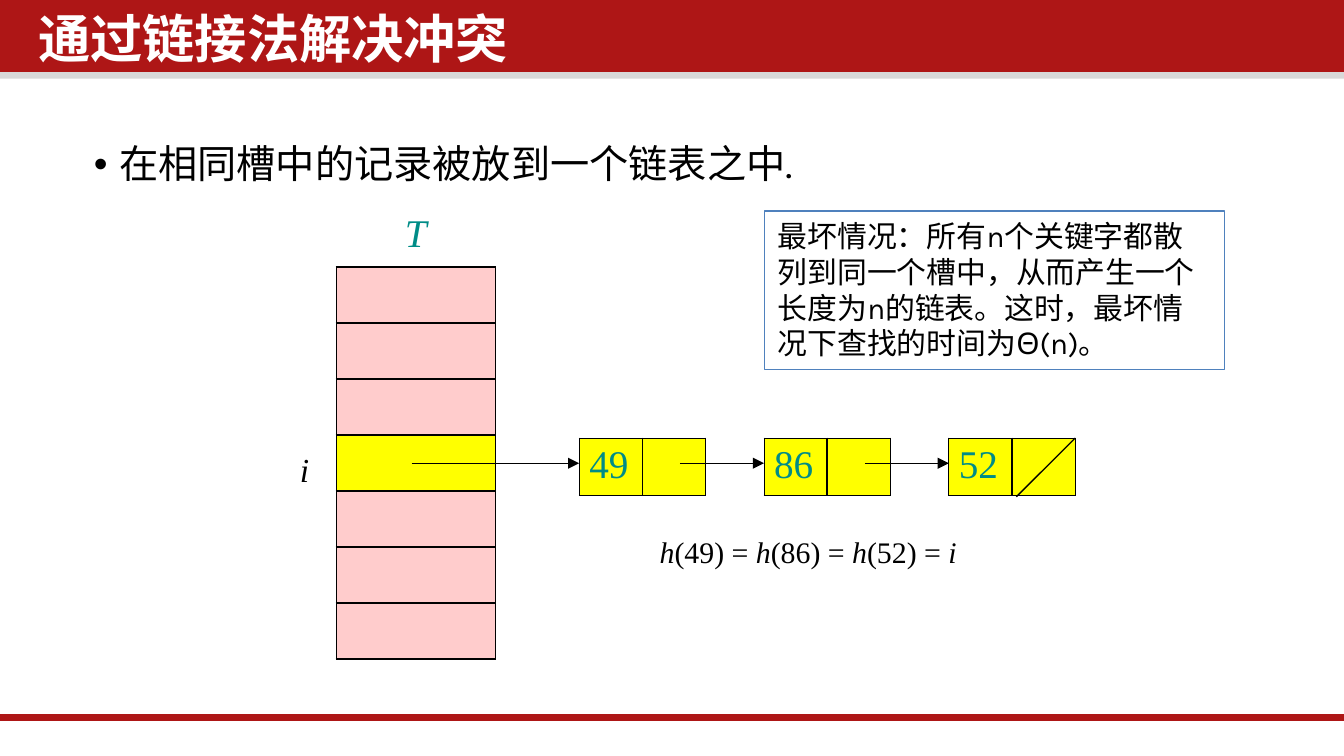
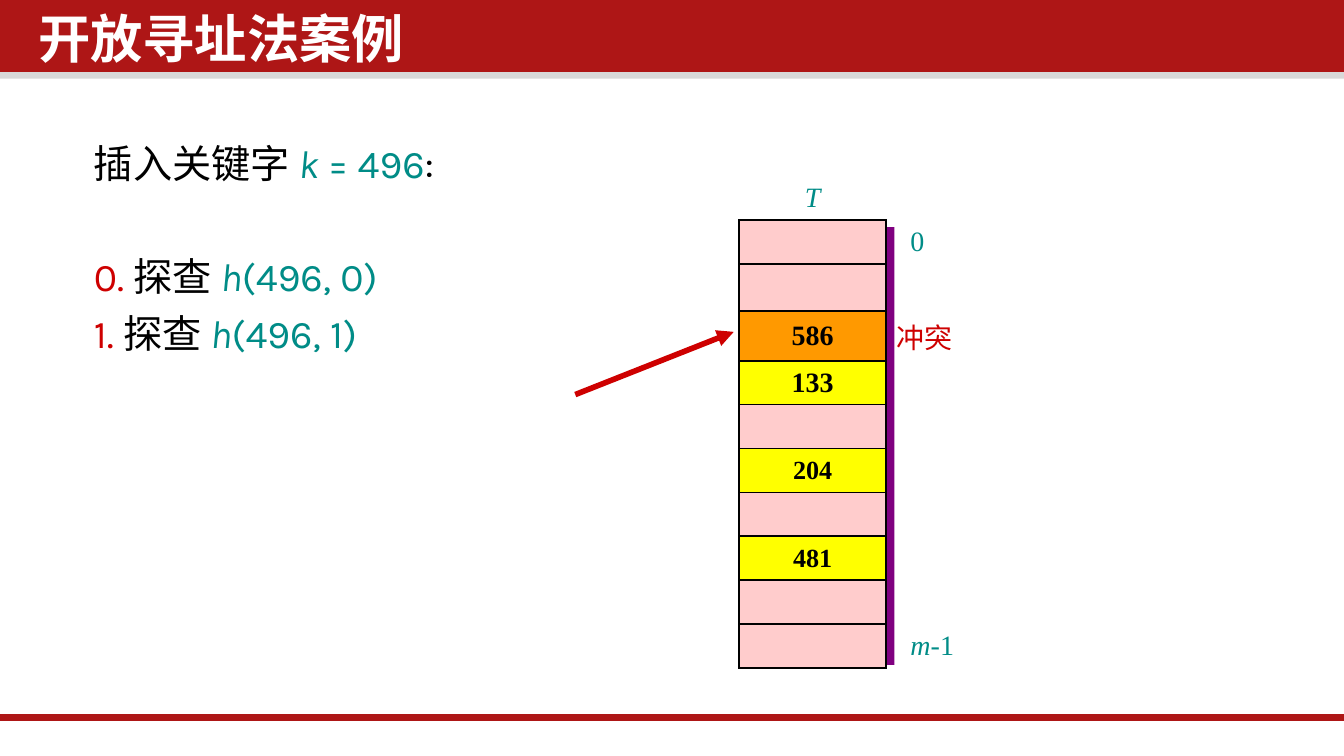
from dataclasses import dataclass, field
from typing import Any, NamedTuple, Optional

from lxml.etree import SubElement
from pptx import Presentation
from pptx.dml.color import RGBColor
from pptx.enum.shapes import MSO_CONNECTOR, MSO_SHAPE
from pptx.enum.text import MSO_ANCHOR, MSO_AUTO_SIZE, PP_ALIGN
from pptx.oxml.ns import qn
from pptx.util import Pt

COLORS = {
    "band": "AE1616", "band_edge": "D9D9D9", "white": "FFFFFF", "black": "000000",
    "teal": "008C87", "red": "CE0000", "pink": "FFCCCC", "yellow": "FFFF00",
    "orange": "FF9900", "purple": "800080", "box_edge": "4F81BD",
}
SANS, SERIF, CJK = "Karla", "Times New Roman", "Noto Sans CJK SC"
WIDTH, HEIGHT = 720, 405

TITLE_FRAME = dict(margin_left=Pt(5.4), margin_right=Pt(5.4), margin_top=Pt(2.7),
                   margin_bottom=Pt(2.7), vertical_anchor=MSO_ANCHOR.TOP,
                   word_wrap=True, auto_size=MSO_AUTO_SIZE.NONE)
CELL_MARGINS = dict(margin_left=Pt(5.4), margin_right=Pt(5.4),
                    margin_top=Pt(2.7), margin_bottom=Pt(2.7))
BODY_FRAME = dict(word_wrap=True, vertical_anchor=MSO_ANCHOR.TOP)
LABEL_FRAME = dict(word_wrap=False, auto_size=MSO_AUTO_SIZE.SHAPE_TO_FIT_TEXT)
BODY_SPACING = dict(line_spacing=0.9, space_before=Pt(7.5))
TITLE_SPACING = dict(BODY_SPACING, alignment=PP_ALIGN.LEFT)
CENTERED = dict(alignment=PP_ALIGN.CENTER)
HANGING = 13.5


class Box(NamedTuple):
    left: float
    top: float
    width: float
    height: float


class Run(NamedTuple):
    text: str
    size: float
    color: str = "black"
    font: str = SERIF
    italic: bool = False
    bold: bool = False


@dataclass
class Line:
    runs: list[Run]
    formats: dict[str, Any] = field(default_factory=dict)
    hanging: bool = False
    bullet: str = ""


@dataclass
class Cell:
    """One table cell; borders maps the sides L, R, T, B to line widths."""
    line: Optional[Line] = None
    fill: str = ""
    borders: dict[str, float] = field(default_factory=dict)
    formats: dict[str, Any] = field(default_factory=dict)


def rgb(name: str) -> RGBColor:
    return RGBColor.from_string(COLORS[name])


def apply(target: Any, formats: dict[str, Any]) -> None:
    for name, value in formats.items():
        setattr(target, name, value)


def points(numbers) -> list[Pt]:
    return [Pt(number) for number in numbers]


def write(frame, lines: list[Line]) -> None:
    for index, line in enumerate(lines):
        paragraph = frame.add_paragraph() if index else frame.paragraphs[0]
        apply(paragraph, line.formats)
        properties = paragraph._p.get_or_add_pPr()
        if line.hanging:
            properties.set("marL", str(Pt(HANGING)))
            properties.set("indent", str(-Pt(HANGING)))
        if line.bullet:
            SubElement(properties, qn("a:buFont"), typeface="Arial")
            SubElement(properties, qn("a:buChar"), char=line.bullet)
        for run in line.runs:
            part = paragraph.add_run()
            part.text = run.text
            apply(part.font, dict(size=Pt(run.size), name=run.font,
                                  italic=run.italic, bold=run.bold))
            part.font.color.rgb = rgb(run.color)
            SubElement(part._r.get_or_add_rPr(), qn("a:ea"), typeface=CJK)


def add_text(slide, box: Box, lines: list[Line], formats: dict[str, Any]):
    label = slide.shapes.add_textbox(*points(box))
    apply(label.text_frame, formats)
    write(label.text_frame, lines)
    return label


def add_rect(slide, box: Box, fill: str):
    rect = slide.shapes.add_shape(MSO_SHAPE.RECTANGLE, *points(box))
    rect.shadow.inherit = False
    rect.fill.solid()
    rect.fill.fore_color.rgb = rgb(fill)
    rect.line.fill.background()
    return rect


def add_line(slide, start: tuple, end: tuple, color: str = "black",
             width: float = 0.75, arrow: bool = False):
    line = slide.shapes.add_connector(MSO_CONNECTOR.STRAIGHT, *points(start + end))
    line.line.color.rgb = rgb(color)
    line.line.width = Pt(width)
    if arrow:
        SubElement(line.line._get_or_add_ln(), qn("a:tailEnd"), type="triangle")
    SubElement(line._element.spPr, qn("a:effectLst"))
    return line


def set_borders(cell, widths: dict[str, float]) -> None:
    properties = cell._tc.get_or_add_tcPr()
    for side in (side for side in "LRTB" if side in widths):
        edge = SubElement(properties, qn(f"a:ln{side}"), w=str(Pt(widths[side])))
        solid = SubElement(edge, qn("a:solidFill"))
        SubElement(solid, qn("a:srgbClr"), val=COLORS["black"])


def add_grid(slide, left: float, top: float, widths: list[float],
             heights: list[float], rows: list[list[Cell]]) -> None:
    box = Box(left, top, sum(widths), sum(heights))
    table = slide.shapes.add_table(len(heights), len(widths), *points(box)).table
    apply(table, dict(first_row=False, horz_banding=False))
    plain_style = "{2D5ABB26-0587-4C30-8999-92F81FD0307C}"
    table._tbl.tblPr.find(qn("a:tableStyleId")).text = plain_style
    for column, width in zip(table.columns, widths):
        column.width = Pt(width)
    for r, row in enumerate(rows):
        table.rows[r].height = Pt(heights[r])
        for c, content in enumerate(row):
            cell = table.cell(r, c)
            apply(cell, CELL_MARGINS | content.formats)
            set_borders(cell, content.borders)
            if content.fill:
                cell.fill.solid()
                cell.fill.fore_color.rgb = rgb(content.fill)
            else:
                cell.fill.background()
            if content.line:
                write(cell.text_frame, [content.line])
            else:
                paragraph = cell.text_frame.paragraphs[0]._p
                SubElement(paragraph, qn("a:endParaRPr"), sz="1000")


def add_bands(slide, layout) -> None:
    """Draw the header and footer bands and move them to the shared layout."""
    bands = [
        add_rect(slide, Box(0, 36, WIDTH, 6.2), "band_edge"),
        add_rect(slide, Box(0, 0, WIDTH, 38.6), "band"),
        add_line(slide, (0, 384.5), (WIDTH, 384.5), "band", 4),
    ]
    for position, band in enumerate(bands, start=2):
        layout.shapes._spTree.insert(position, band._element)


def add_titled_slide(deck, layout, title: str):
    slide = deck.slides.add_slide(layout)
    heading = slide.shapes.title
    apply(heading, dict(zip(("left", "top", "width", "height"),
                            points(Box(15.1, 4.3, 550, 42.5)))))
    apply(heading.text_frame, TITLE_FRAME)
    write(heading.text_frame,
          [Line([Run(title, 28, "white", CJK, bold=True)], TITLE_SPACING)])
    return slide


BODY = Box(43.2, 74.2, 620.6, 257)


def build_chaining(slide) -> None:
    text = "在相同槽中的记录被放到一个链表之中."
    add_text(slide, BODY, [Line([Run(text, 21, font=SANS)], BODY_SPACING,
                                hanging=True, bullet="•")], BODY_FRAME)

    slot_edges = dict(L=0.5, R=0.5, T=1, B=1)
    slots = ["pink"] * 3 + ["yellow"] + ["pink"] * 3
    header = Cell(Line([Run("T", 21, "teal", italic=True)],
                       CENTERED | dict(line_spacing=0.9)), borders=dict(B=1))
    rows = [[header]] + [[Cell(fill=slot, borders=slot_edges)] for slot in slots]
    add_grid(slide, 180, 113, [85.5], [30] * len(rows), rows)

    first_node, step, half, node_top, node_height = 310.3, 99, 33.8, 234.7, 30.4
    link_y = 248.2
    thin = dict(L=0.5, R=0.5, T=0.5, B=0.5)
    for index, key in enumerate(("49", "86", "52")):
        left = first_node + index * step
        add_grid(slide, left, node_top, [half] * 2, [node_height], [[
            Cell(Line([Run(key, 21, "teal")]), "yellow", thin | dict(R=1)),
            Cell(None, "yellow", thin | dict(L=1)),
        ]])
        tail = left - 45 if index else 220.5
        add_line(slide, (tail, link_y), (left, link_y), arrow=True)
    add_line(slide, (544.5, 266.2), (576, node_top))

    add_text(slide, Box(153.4, 236.9, 19.4, 28.8),
             [Line([Run("i", 18, italic=True)], CENTERED)], LABEL_FRAME)
    formula = ["h", "(49) = ", "h", "(86) = ", "h", "(52) = ", "i"]
    add_text(slide, Box(346.3, 282.2, 174.2, 26.6),
             [Line([Run(part, 16, italic=part.isalpha()) for part in formula])],
             LABEL_FRAME)
    worst_case = ("最坏情况：所有n个关键字都散列到同一个槽中，从而产生一个长度为n的链表。"
                  "这时，最坏情况下查找的时间为Θ(n)。")
    note = add_text(slide, Box(409.7, 113, 246.2, 85),
                    [Line([Run(worst_case, 16, font=SANS)])],
                    LABEL_FRAME | dict(word_wrap=True))
    note.line.color.rgb = rgb("box_edge")
    note.line.width = Pt(0.75)


def probe(number: int, formats: dict[str, Any]) -> Line:
    return Line([Run(f"{number}. ", 21, "red", SANS), Run("探查 ", 21, font=SANS),
                 Run("h", 21, "teal", SANS, italic=True),
                 Run(f"(496, {number})", 21, "teal", SANS)], formats, hanging=True)


def build_open_addressing(slide) -> None:
    insertion = Line([Run("插入关键字 ", 21, font=SANS),
                      Run("k", 21, "teal", SANS, italic=True),
                      Run(" = 496", 21, "teal", SANS), Run(":", 21, font=SANS)],
                     BODY_SPACING, hanging=True)
    after_gap = BODY_SPACING | dict(space_before=Pt(37.8))
    add_text(slide, BODY, [insertion, probe(0, after_gap), probe(1, BODY_SPACING)],
             BODY_FRAME)

    add_rect(slide, Box(406, 121.7, 73.2, 234.5), "purple")
    middle = dict(vertical_anchor=MSO_ANCHOR.MIDDLE)
    indented = middle | dict(margin_left=Pt(13))
    edges = dict(L=1, R=1, T=1, B=1)
    slots = 10
    stored = {2: Run("586", 15, bold=True), 3: Run("133", 15, bold=True),
              5: Run("204", 14, bold=True), 7: Run("481", 14, bold=True)}
    notes = {
        0: Cell(Line([Run("0", 15, "teal")]), formats=indented),
        2: Cell(Line([Run("冲突", 15, "red")]), formats=middle),
        slots - 1: Cell(Line([Run("m", 15, "teal", italic=True),
                              Run("-1", 15, "teal")]), formats=indented),
    }
    rows = [[Cell(Line([Run("T", 15, "teal", italic=True)], CENTERED),
                  borders=dict(B=1), formats=middle), Cell()]]
    for slot in range(slots):
        key = stored.get(slot)
        fill = "orange" if slot == 2 else "yellow" if key else "pink"
        line = Line([key], CENTERED) if key else None
        note = notes.get(slot, Cell())
        note.borders = dict(L=1)
        rows.append([Cell(line, fill, edges, middle), note])
    heights = [23.5] * 2 + [25.2, 26.8] + [23.5] * 7
    add_grid(slide, 396, 94.3, [78.8] * 2, heights, rows)
    add_line(slide, (308.2, 211.4), (393.1, 177.8), "red", 3, arrow=True)


def main() -> None:
    deck = Presentation()
    deck.slide_width, deck.slide_height = Pt(WIDTH), Pt(HEIGHT)
    layout = deck.slide_layouts[5]
    chaining = add_titled_slide(deck, layout, "通过链接法解决冲突")
    add_bands(chaining, layout)
    build_chaining(chaining)
    build_open_addressing(add_titled_slide(deck, layout, "开放寻址法案例"))
    deck.save("out.pptx")


if __name__ == "__main__":
    main()
